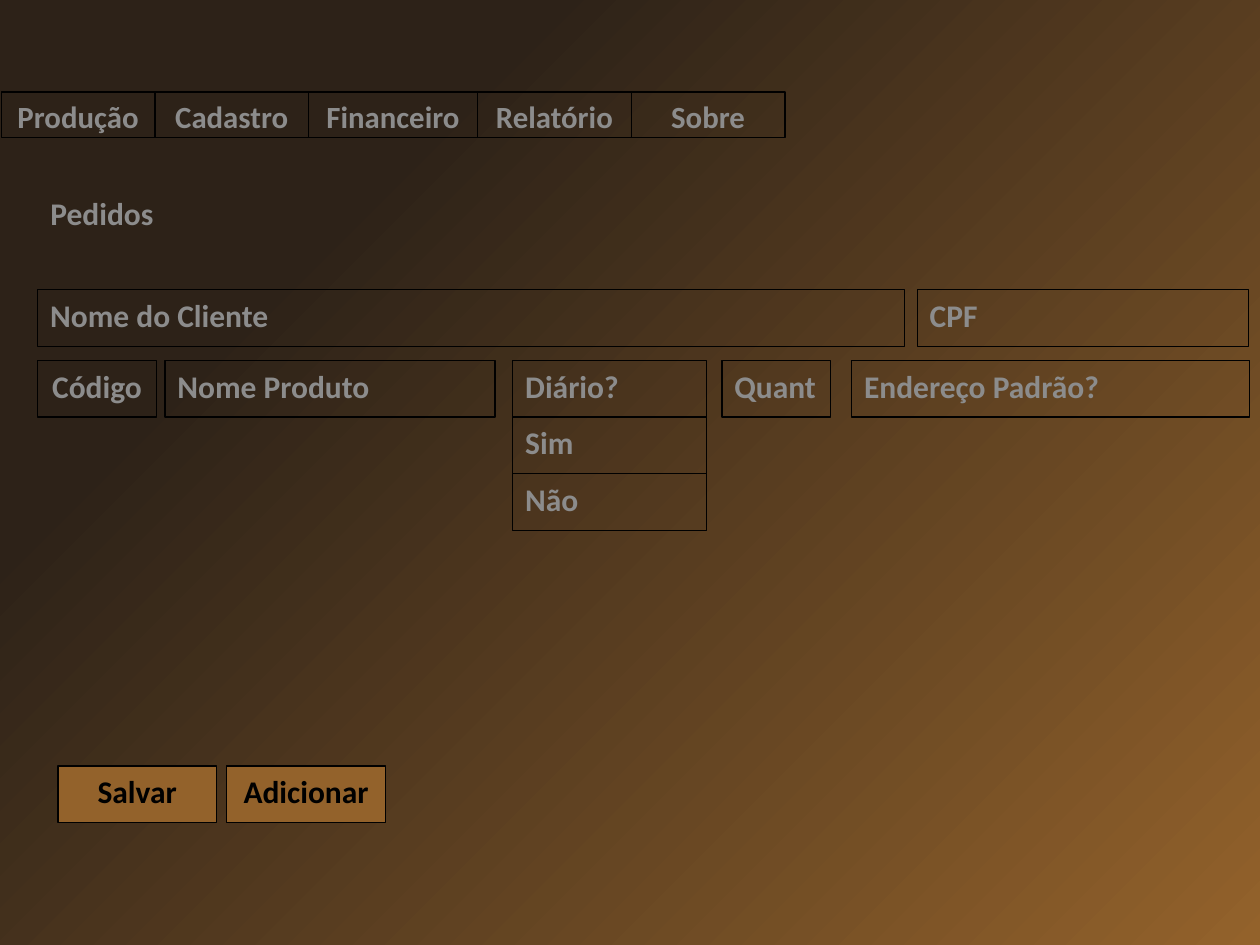
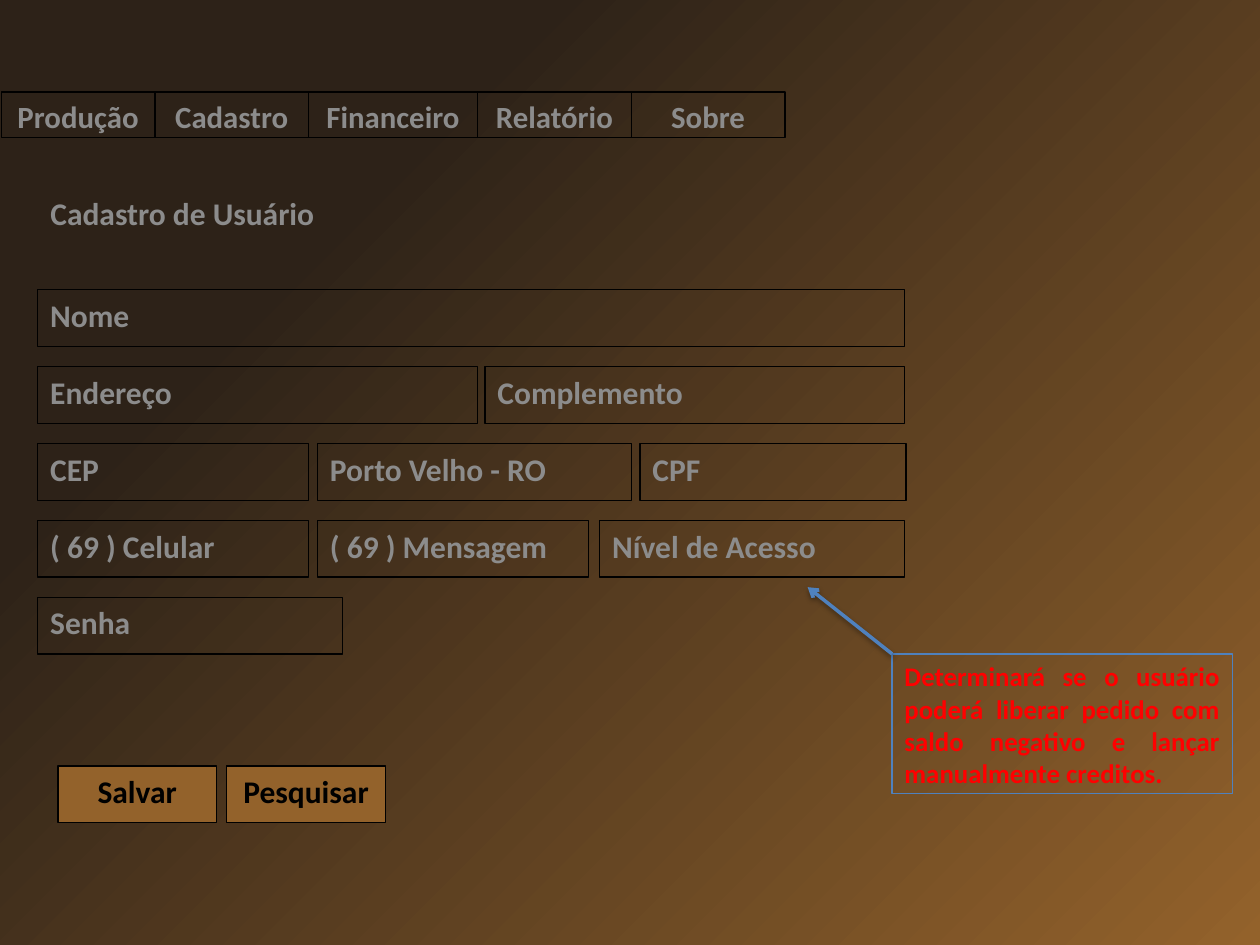
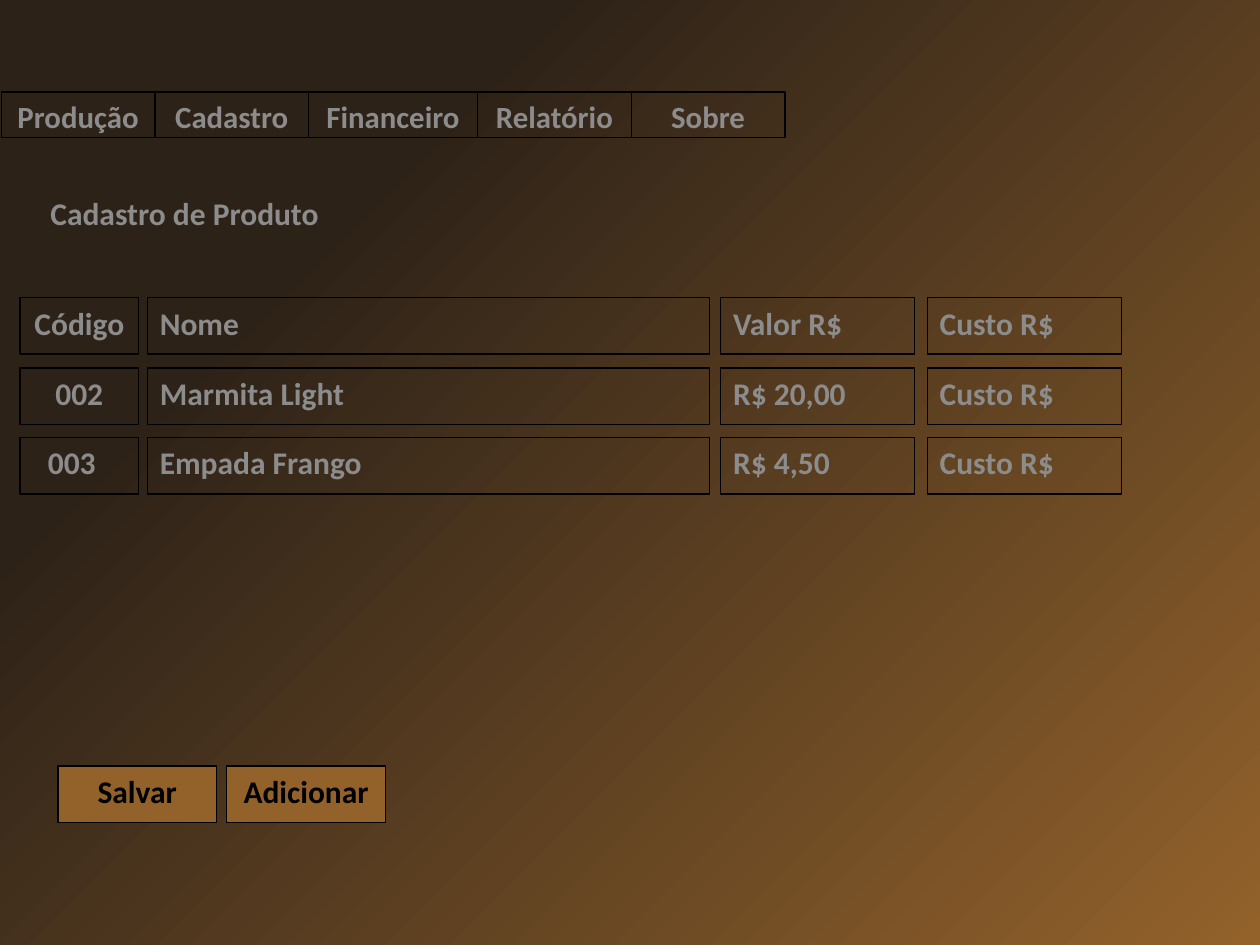
from lxml import etree
from pptx import Presentation
from pptx.dml.color import RGBColor
from pptx.enum.shapes import MSO_CONNECTOR, MSO_SHAPE
from pptx.enum.text import MSO_ANCHOR, MSO_AUTO_SIZE, PP_ALIGN
from pptx.oxml.ns import qn
from pptx.util import Inches, Pt

FONT = "Calibri"
BRONZE, DARK, GRAY = "93622B", "2D2218", "8C8C8C"
BLACK, BLUE, RED = "000000", "4F81BD", "FF0000"

LEFT = 0.3
FIELD_HEIGHT = 0.45
MENU_TOP, MENU_HEIGHT = 0.73, 0.36
MENU = [("Produção", 1.22), ("Cadastro", 1.22), ("Financeiro", 1.34),
        ("Relatório", 1.22), ("Sobre", 1.22)]


def color(value):
    return RGBColor.from_string(value)


def set_background(master):
    """Gradient that spreads from the bottom right corner."""
    fill = master.background.fill
    fill.gradient()
    for stop, position, value in zip(fill.gradient_stops, (0, 0.75), (BRONZE, DARK)):
        stop.position = position
        stop.color.rgb = color(value)
    gradient = next(master.element.iter(qn("a:gradFill")))
    linear = gradient.find(qn("a:lin"))
    if linear is not None:
        gradient.remove(linear)
    circle = etree.SubElement(gradient, qn("a:path"), path="circle")
    etree.SubElement(circle, qn("a:fillToRect"), l="100000", t="100000")


def write(shape, text, size=18, text_color=GRAY, align=PP_ALIGN.LEFT):
    frame = shape.text_frame
    frame.text = text
    frame.word_wrap = True
    frame.auto_size = MSO_AUTO_SIZE.NONE
    frame.vertical_anchor = MSO_ANCHOR.TOP
    paragraph = frame.paragraphs[0]
    paragraph.alignment = align
    font = paragraph.font
    font.name, font.size, font.bold = FONT, Pt(size), True
    font.color.rgb = color(text_color)


def add_box(slide, text, left, top, width, height=FIELD_HEIGHT,
            fill=None, line=BLACK, **style):
    shape = slide.shapes.add_shape(MSO_SHAPE.RECTANGLE, Inches(left), Inches(top),
                                   Inches(width), Inches(height))
    shape.shadow.inherit = False
    if fill:
        shape.fill.solid()
        shape.fill.fore_color.rgb = color(fill)
    else:
        shape.fill.background()
    shape.line.color.rgb = color(line)
    shape.line.width = Pt(0.75)
    write(shape, text, **style)


def add_title(slide, text):
    title = slide.shapes.title
    title.left, title.top = Inches(LEFT), Inches(1.49)
    title.width, title.height = Inches(3.49), Inches(FIELD_HEIGHT)
    write(title, text)


def add_menu(slide):
    left = 0.01
    for name, width in MENU:
        add_box(slide, name, left, MENU_TOP, width, MENU_HEIGHT,
                size=17.6, align=PP_ALIGN.CENTER)
        left += width


def add_buttons(slide, names):
    for index, name in enumerate(names):
        add_box(slide, name, 0.46 + 1.34 * index, 6.08, 1.26, fill=BRONZE,
                text_color=BLACK, align=PP_ALIGN.CENTER)


def add_row(slide, top, fields):
    """Each field is (text, left, width), with an optional alignment."""
    for text, left, width, *align in fields:
        add_box(slide, text, left, top, width,
                align=align[0] if align else PP_ALIGN.LEFT)


def add_arrow(slide, start, end):
    arrow = slide.shapes.add_connector(MSO_CONNECTOR.STRAIGHT,
                                       *map(Inches, start + end))
    arrow.line.color.rgb = color(BLUE)
    arrow.line.width = Pt(2)
    etree.SubElement(arrow.line._get_or_add_ln(), qn("a:tailEnd"), type="arrow")


def add_screen(presentation, title, buttons):
    slide = presentation.slides.add_slide(presentation.slide_layouts[5])
    add_title(slide, title)
    add_menu(slide)
    add_buttons(slide, buttons)
    return slide


def build_orders(presentation):
    slide = add_screen(presentation, "Pedidos", ["Salvar", "Adicionar"])
    add_row(slide, 2.3, [("Nome do Cliente", LEFT, 6.88), ("CPF", 7.28, 2.63)])
    add_row(slide, 2.86, [("Código", LEFT, 0.94, PP_ALIGN.CENTER),
                          ("Nome Produto", 1.31, 2.62),
                          ("Quant", 5.73, 0.86),
                          ("Endereço Padrão?", 6.76, 3.16)])
    # Open drop-down list
    for index, option in enumerate(["Diário?", "Sim", "Não"]):
        add_box(slide, option, 4.07, 2.86 + FIELD_HEIGHT * index, 1.54)


def build_users(presentation):
    slide = add_screen(presentation, "Cadastro de Usuário", ["Salvar", "Pesquisar"])
    rows = [
        [("Nome", LEFT, 6.88)],
        [("Endereço", LEFT, 3.49), ("Complemento", 3.85, 3.33)],
        [("CEP", LEFT, 2.15), ("Porto Velho - RO", 2.52, 2.49), ("CPF", 5.08, 2.11)],
        [("( 69 ) Celular", LEFT, 2.15), ("( 69 ) Mensagem", 2.52, 2.15),
         ("Nível de Acesso", 4.76, 2.42)],
        [("Senha", LEFT, 2.42)],
    ]
    for index, fields in enumerate(rows):
        add_row(slide, 2.3 + 0.61 * index, fields)
    # Remark on the access level
    add_box(slide, "Determinará se o usuário poderá liberar pedido com saldo "
            "negativo e lançar manualmente creditos.", 7.08, 5.19, 2.7, 1.11,
            line=BLUE, size=15.3, text_color=RED, align=PP_ALIGN.JUSTIFY)
    add_arrow(slide, (7.08, 5.19), (6.41, 4.66))


def build_products(presentation):
    slide = add_screen(presentation, "Cadastro de Produto", ["Salvar", "Adicionar"])
    products = [
        (2.36, "Código", "Nome", "Valor R$"),
        (2.92, "002", "Marmita Light", "R$ 20,00"),
        (3.47, "003\t", "Empada Frango", "R$ 4,50"),
    ]
    for top, code, name, price in products:
        add_row(slide, top, [(code, 0.16, 0.94, PP_ALIGN.CENTER),
                             (name, 1.17, 4.46),
                             (price, 5.72, 1.54),
                             ("Custo R$", 7.36, 1.54)])


def main():
    presentation = Presentation()
    presentation.slide_width, presentation.slide_height = Inches(10), Inches(7.5)
    set_background(presentation.slide_master)
    build_orders(presentation)
    build_users(presentation)
    build_products(presentation)
    presentation.save("out.pptx")


if __name__ == "__main__":
    main()
